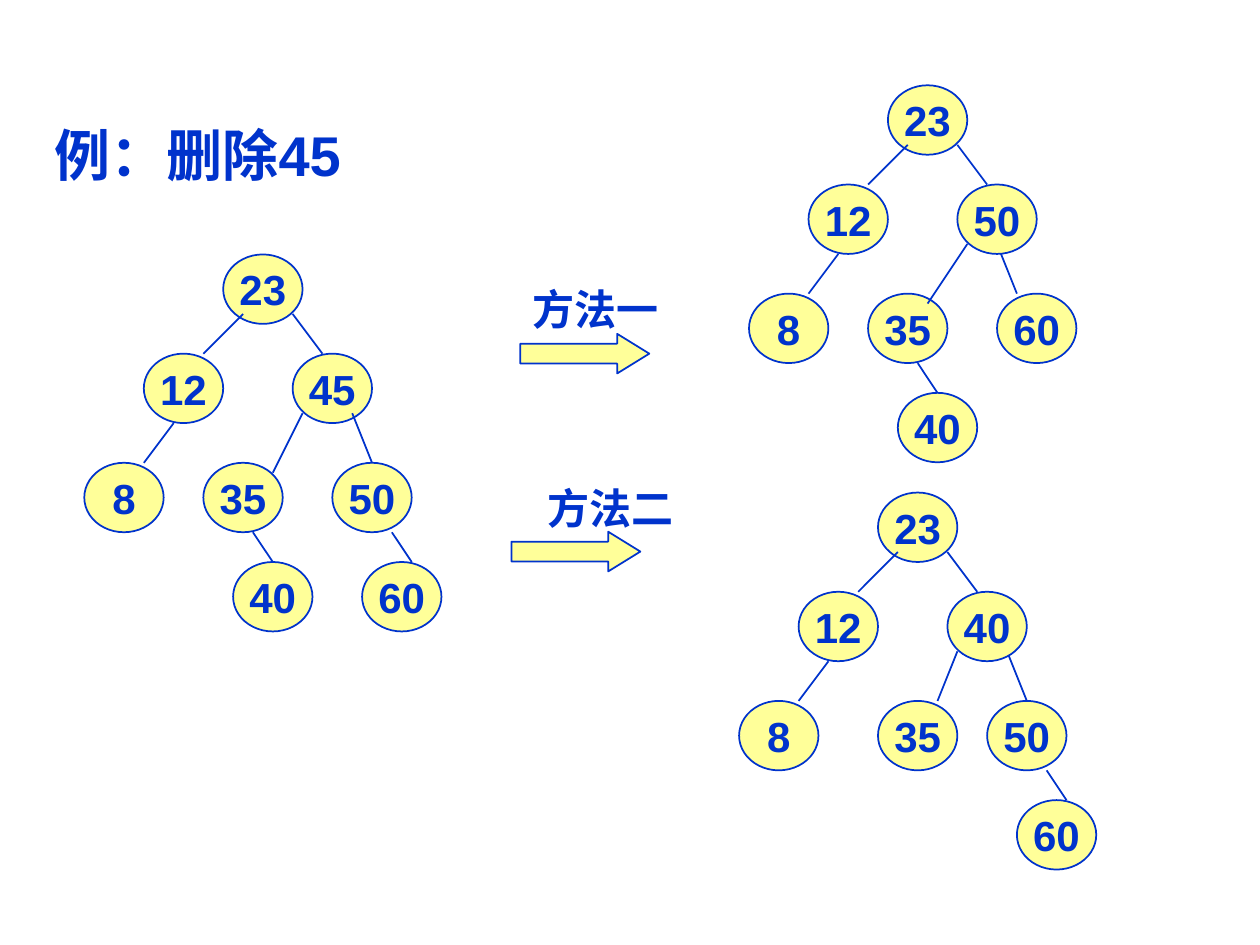
from lxml import etree
from pptx import Presentation
from pptx import util as u
from pptx.dml.color import RGBColor
from pptx.enum import shapes as sh, text as tx
from pptx.oxml.ns import qn

Cm, Pt = u.Cm, u.Pt
HUE = {"blue": "0033CC", "pale": "FFFF99"}
INK, FILL = (RGBColor.from_string(HUE[name]) for name in ("blue", "pale"))
WIDE, HIGH = 1.6, 1.4  # node size


def paint(shape):
    """Give a shape the pale fill and thin blue outline."""
    shape.shadow.inherit = False
    shape.fill.solid()
    shape.fill.fore_color.rgb = FILL
    shape.line.color.rgb = INK
    shape.line.width = Pt(1)


def write(shape, words, size=24, align=tx.PP_ALIGN.CENTER,
          anchor=tx.MSO_ANCHOR.MIDDLE, wrap=False):
    """Put one bold blue line of text into a shape."""
    frame = shape.text_frame
    frame.word_wrap = wrap
    frame.vertical_anchor = anchor
    frame.text = words
    para = frame.paragraphs[0]
    para.alignment = align
    para.space_before = Pt(0)
    font = para.font
    font.name, font.size, font.bold = "Arial", Pt(size), True
    font.color.rgb = INK
    return para


prs = Presentation()
prs.slide_width, prs.slide_height = Cm(25.4), Cm(19.05)
slide = prs.slides.add_slide(prs.slide_layouts[1])
title, body = slide.placeholders
title.element.getparent().remove(title.element)

# Heading
body.left, body.top = Cm(0.84), Cm(2.31)
body.width, body.height = Cm(23.72), Cm(13.97)
head = write(body, "例：删除45", 32, tx.PP_ALIGN.LEFT, tx.MSO_ANCHOR.TOP, True)
props = head._p.get_or_add_pPr()
props.set("marL", str(Cm(0.95)))
props.set("indent", str(Cm(-0.95)))
props.insert_element_before(etree.Element(qn("a:buNone")), "a:tabLst", "a:defRPr")

# Arrows and their labels: words, arrow place, label left, top and width
for words, left, top, side, high, wide in [
    ("方法一", 10.49, 6.73, 10.11, 5.72, 3.81),
    ("方法二", 10.31, 10.72, 10.31, 9.73, 3.99),
]:
    arrow = slide.shapes.add_shape(
        sh.MSO_SHAPE.RIGHT_ARROW, Cm(left), Cm(top), Cm(2.6), Cm(0.8))
    arrow.adjustments[1] = 0.81
    paint(arrow)
    label = slide.shapes.add_textbox(Cm(side), Cm(high), Cm(wide), Cm(1))
    write(label, words)

# Trees: offsets in cm from the left top corner of each root
TOP = [("23", 0, 0), ("12", -1.6, 2), ("8", -2.8, 4.2)]
EDGES = [(0.4, 1.2, -0.4, 2), (1.4, 1.2, 2, 2), (-1, 3.4, -1.6, 4.2)]
LEAF = (0.6, 5.6, 1, 6.2)
LAST = (3.4, 5.6, 3.8, 6.2)
trees = [
    dict(root=(4.5, 5.13), back=[],
         nodes=[("45", 1.4, 2), ("35", -0.4, 4.2), ("50", 2.2, 4.2),
                ("40", 0.2, 6.2), ("60", 2.8, 6.2)],
         front=[(1.6, 3.2, 1, 4.4), (2.6, 3.2, 3, 4.2), LEAF, LAST]),
    dict(root=(17.9, 1.72), back=[(2.2, 3.2, 2.6, 4.2)],
         nodes=[("50", 1.4, 2), ("35", -0.4, 4.2), ("60", 2.2, 4.2),
                ("40", 0.2, 6.2)],
         front=[(1.6, 3.2, 0.8, 4.4), LEAF]),
    dict(root=(17.7, 9.93), back=[(2.6, 3.2, 3, 4.2)],
         nodes=[("40", 1.4, 2), ("35", 0, 4.2), ("50", 2.2, 4.2),
                ("60", 2.8, 6.2)],
         front=[(1.6, 3.2, 1.2, 4.2), LAST]),
]

for tree in trees:
    left, top = tree["root"]
    group = slide.shapes.add_group_shape().shapes
    # Edges in "back" run behind the nodes; each item is an edge or a node
    for item in tree["back"] + TOP + tree["nodes"] + EDGES + tree["front"]:
        if len(item) == 4:
            x, y, far, low = item
            edge = group.add_connector(
                sh.MSO_CONNECTOR.STRAIGHT, Cm(left + x), Cm(top + y),
                Cm(left + far), Cm(top + low))
            edge.line.color.rgb = INK
            edge.line.width = Pt(1)
            etree.SubElement(edge._element.spPr, qn("a:effectLst"))
        else:
            key, x, y = item
            node = group.add_shape(
                sh.MSO_SHAPE.OVAL, Cm(left + x), Cm(top + y), Cm(WIDE), Cm(HIGH))
            paint(node)
            write(node, key)

prs.save("out.pptx")
